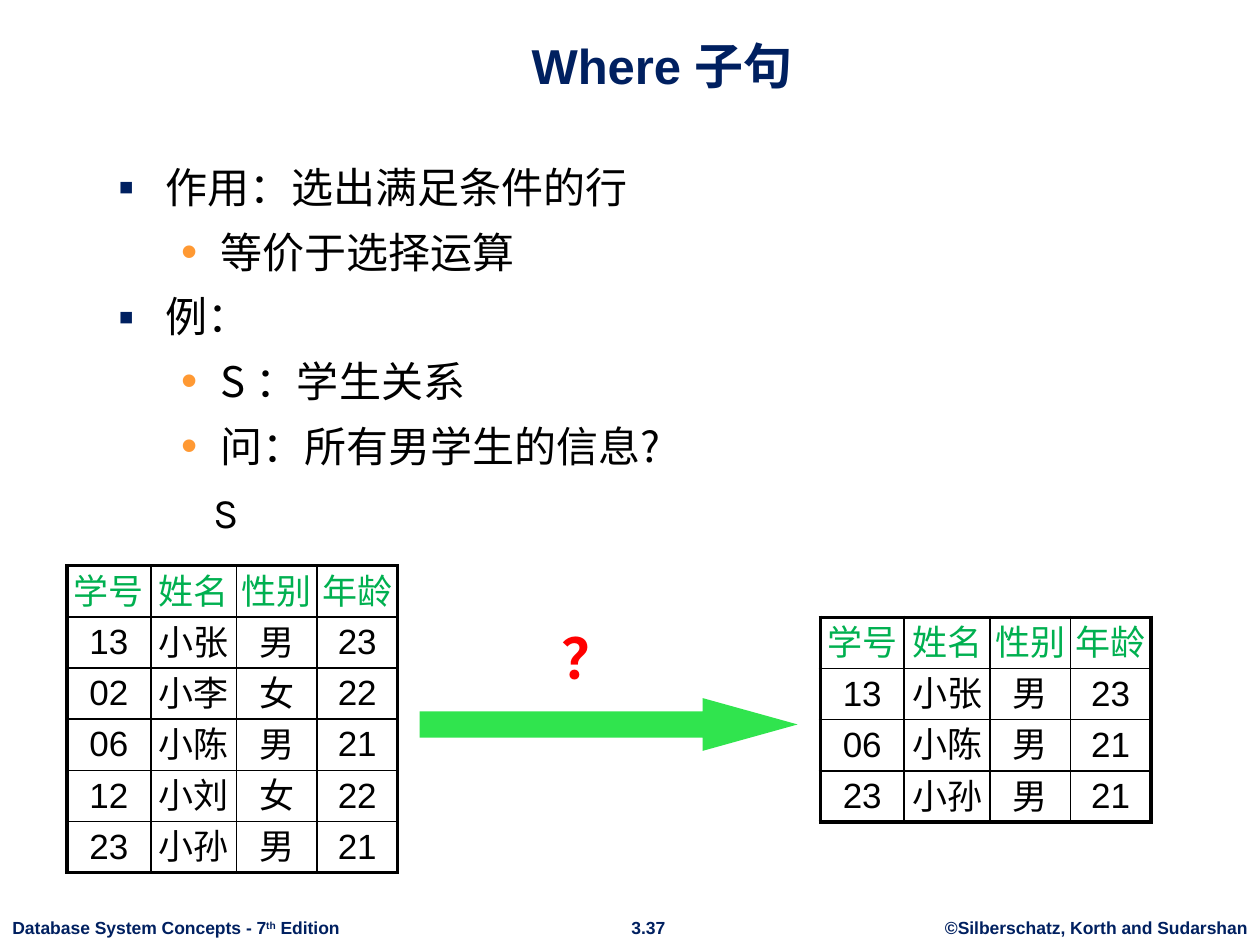
from lxml.etree import SubElement
from pptx import Presentation
from pptx.dml.color import RGBColor
from pptx.enum.shapes import MSO_SHAPE as Shape
from pptx.enum.text import MSO_ANCHOR as Anchor, PP_ALIGN as Align
from pptx.oxml.ns import qn
from pptx.util import Pt

NAVY, ORANGE, GREEN = "002060", "FF9933", "00B050"
BLACK, WHITE, RED, ARROW_GREEN = "000000", "FFFFFF", "FF0000", "30E44E"
CJK = "Noto Sans CJK SC"

# Per outline level: bullet sign, colour, left margin and hanging indent in points
LEVELS = [("▪", NAVY, 27, -27), ("•", ORANGE, 58.5, -22.5)]


def rgb(color):
    return RGBColor.from_string(color)


def apply(target, values):
    for name, value in values.items():
        setattr(target, name, value)


class SlideBuilder:
    def __init__(self, slide, font="Arial"):
        self.slide = slide
        self.font = font

    def run(self, paragraph, text, size, color, bold=False, font=None, asian=None):
        run = paragraph.add_run()
        run.text = text
        font = font or self.font
        apply(run.font, {"size": Pt(size), "bold": bold, "name": font})
        run.font.color.rgb = rgb(color)
        SubElement(run.font._element, qn("a:ea"), typeface=asian or font)
        return run

    def box(self, area, wrap=True, anchor=Anchor.TOP):
        frame = self.slide.shapes.add_textbox(*map(Pt, area)).text_frame
        apply(frame, {"word_wrap": wrap, "vertical_anchor": anchor})
        return frame

    def label(self, area, text, size, color, align=Align.CENTER, wrap=False,
              anchor=Anchor.TOP, **style):
        paragraph = self.box(area, wrap, anchor).paragraphs[0]
        paragraph.alignment = align
        self.run(paragraph, text, size, color, **style)
        return paragraph

    def outline(self, area, items, size):
        frame = self.box(area)
        for index, (level, text) in enumerate(items):
            paragraph = frame.add_paragraph() if index else frame.paragraphs[0]
            self.bullet(paragraph, *LEVELS[level])
            apply(paragraph, {"level": level, "line_spacing": Pt(31),
                              "space_before": Pt(6 if index else 0)})
            self.run(paragraph, text, size, BLACK, font=CJK)

    def bullet(self, paragraph, sign, color, margin, indent):
        props = paragraph._p.get_or_add_pPr()
        props.set("marL", str(Pt(margin)))
        props.set("indent", str(Pt(indent)))
        SubElement(SubElement(props, qn("a:buClr")), qn("a:srgbClr"), val=color)
        SubElement(props, qn("a:buSzPct"), val="110000")
        SubElement(props, qn("a:buFont"), typeface=self.font)
        SubElement(props, qn("a:buChar"), char=sign)

    def table(self, left, top, rows, widths, row_height):
        """Draw a grid with a thick frame, thin inner lines and a green header."""
        last_row, last_column = len(rows) - 1, len(widths) - 1
        area = (left, top, sum(widths), row_height * len(rows))
        table = self.slide.shapes.add_table(len(rows), len(widths), *map(Pt, area)).table
        apply(table, {"first_row": False, "horz_banding": False})
        for column, width in zip(table.columns, widths):
            column.width = Pt(width)
        for r, values in enumerate(rows):
            table.rows[r].height = Pt(row_height)
            for c, value in enumerate(values):
                cell = table.cell(r, c)
                self.borders(cell, {"L": c == 0, "R": c == last_column,
                                    "T": r == 0, "B": r == last_row})
                self.fill_cell(cell, value, header=r == 0)

    def borders(self, cell, outer_sides):
        props = cell._tc.get_or_add_tcPr()
        for side, outer in outer_sides.items():
            line = SubElement(props, qn(f"a:ln{side}"), w=str(Pt(2.25 if outer else 1)))
            SubElement(SubElement(line, qn("a:solidFill")), qn("a:srgbClr"), val=BLACK)

    def fill_cell(self, cell, value, header):
        apply(cell, {"margin_left": 0, "margin_right": 0, "margin_top": Pt(1.44),
                     "margin_bottom": Pt(1.44), "vertical_anchor": Anchor.MIDDLE})
        if header:
            cell.fill.solid()
            cell.fill.fore_color.rgb = rgb(WHITE)
        else:
            cell.fill.background()
        paragraph = cell.text_frame.paragraphs[0]
        paragraph.alignment = Align.CENTER
        if not value.isdigit():
            paragraph.line_spacing = Pt(26)
        self.run(paragraph, value, 20, GREEN if header else BLACK, asian=CJK)

    def arrow(self, area, color, head_ratio):
        arrow = self.slide.shapes.add_shape(Shape.RIGHT_ARROW, *map(Pt, area))
        arrow.shadow.inherit = False
        arrow.adjustments[0] = 0.5
        arrow.adjustments[1] = head_ratio
        arrow.fill.solid()
        arrow.fill.fore_color.rgb = rgb(color)
        arrow.line.fill.background()


def main():
    deck = Presentation()
    apply(deck, {"slide_width": Pt(720), "slide_height": Pt(540)})
    page = SlideBuilder(deck.slides.add_slide(deck.slide_layouts[6]))

    footer_top, footer_height = 520.5, 19.5
    footer = {"size": 10, "color": NAVY, "bold": True}
    page.label((532.8, footer_top, 187.2, footer_height),
               "©Silberschatz, Korth and Sudarshan", **footer)
    page.label((352.8, footer_top, 35.3, footer_height), "3.37", **footer)
    book = page.label((0, footer_top, 202.3, footer_height),
                      "Database System Concepts - 7", align=Align.LEFT, **footer)
    ordinal = page.run(book, "th", **footer)
    ordinal.font._element.set("baseline", "30000")
    page.run(book, " Edition", **footer)

    page.label((60.5, 9.4, 635.8, 48.2), "Where 子句", 28, NAVY, wrap=True,
               anchor=Anchor.BOTTOM, bold=True)
    page.outline((60.5, 86.4, 607, 386), [
        (0, "作用：选出满足条件的行"),
        (1, "等价于选择运算"),
        (0, "例："),
        (1, "S ：学生关系"),
        (1, "问：所有男学生的信息?"),
    ], 24)

    header = ("学号", "姓名", "性别", "年龄")
    students = [
        ("13", "小张", "男", "23"),
        ("02", "小李", "女", "22"),
        ("06", "小陈", "男", "21"),
        ("12", "小刘", "女", "22"),
        ("23", "小孙", "男", "21"),
    ]
    men = [student for student in students if student[2] == "男"]
    grid = {"widths": (48, 49, 46, 46), "row_height": 29.25}
    page.label((115.2, 274.3, 28, 36), "S", 24, BLACK, align=Align.LEFT, font="Karla")
    page.table(38.2, 323.3, [header, *students], **grid)
    page.table(468.7, 352.8, [header, *men], **grid)

    page.arrow((239.8, 398.9, 216, 30.2), ARROW_GREEN, 1.8)
    page.label((313.2, 352.8, 46.8, 46.8), "？", 32, RED, wrap=True, bold=True,
               font="Karla", asian=CJK)

    deck.save("out.pptx")


if __name__ == "__main__":
    main()
